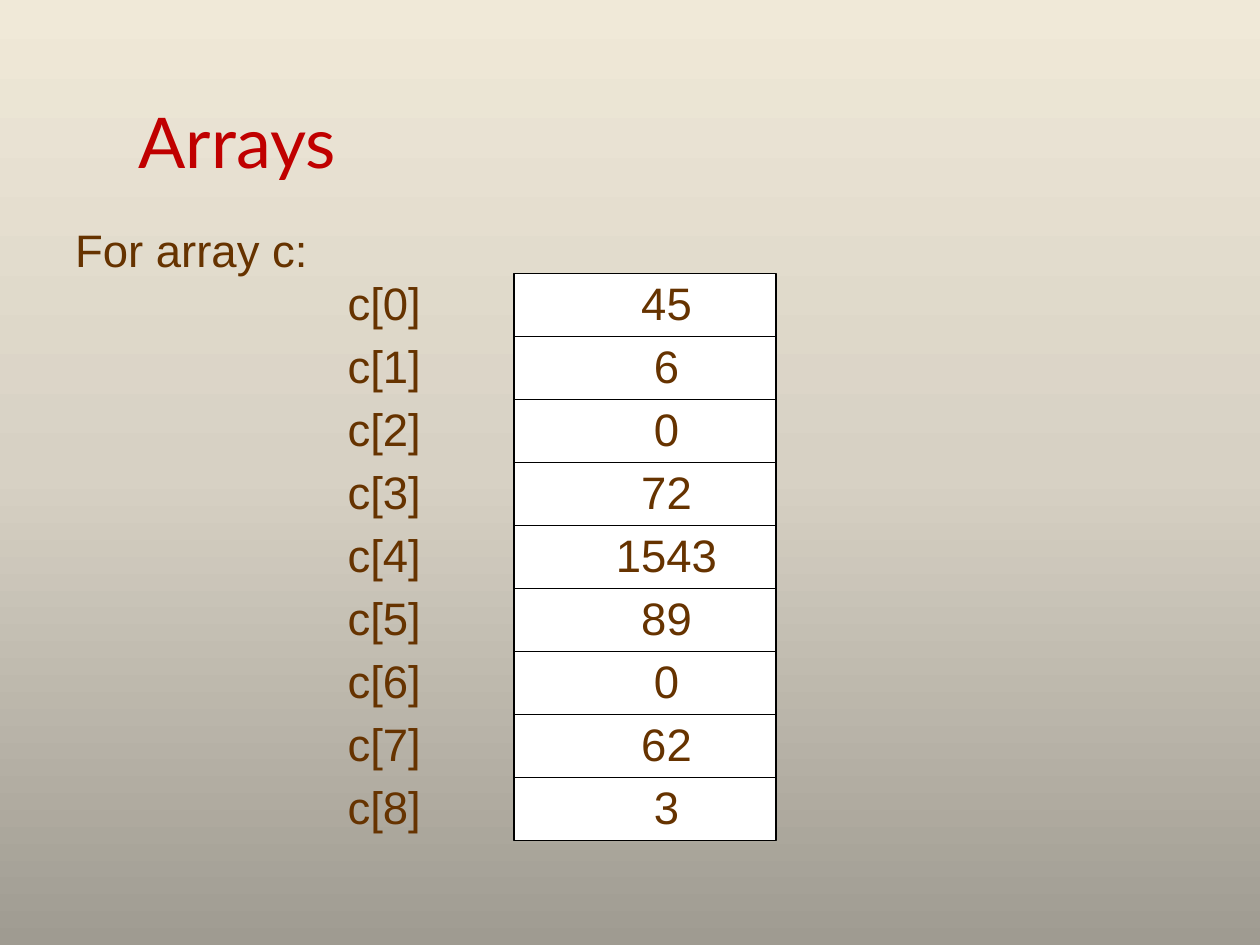
from copy import deepcopy

from pptx import Presentation
from pptx.dml.color import RGBColor
from pptx.enum.shapes import MSO_CONNECTOR as CONNECTOR, MSO_SHAPE as SHAPE
from pptx.enum.text import MSO_ANCHOR as ANCHOR, MSO_AUTO_SIZE as AUTOSIZE, PP_ALIGN as ALIGN
from pptx.oxml.ns import qn
from pptx.util import Inches, Pt

VALUES = [45, 6, 0, 72, 1543, 89, 0, 62, 3]
BROWN, RED, BLACK, WHITE = "663300", "C00000", "000000", "FFFFFF"
LABEL_HEIGHT = 0.54
DIGIT_WIDTH = 0.21


def color(hex_text):
    return RGBColor.from_string(hex_text)


def write(frame, text, size=26, font="Arial", ink=BROWN, align=ALIGN.CENTER):
    paragraph = frame.paragraphs[0]
    paragraph.alignment = align
    run = paragraph.add_run()
    run.text = text
    run.font.size = Pt(size)
    run.font.name = font
    run.font.color.rgb = color(ink)


def add_label(slide, text, center, top, width):
    """Place a one-line label around a horizontal centre."""
    label = slide.shapes.add_textbox(Inches(center - width / 2), Inches(top),
                                     Inches(width), Inches(LABEL_HEIGHT))
    label.text_frame.word_wrap = False
    label.text_frame.auto_size = AUTOSIZE.SHAPE_TO_FIT_TEXT
    write(label.text_frame, text)


def paint_background(slide):
    fill = slide.background.fill
    fill.gradient()
    fill.gradient_angle = 90
    stop_list = slide.element.find(".//" + qn("a:gsLst"))
    stop_list.insert(1, deepcopy(stop_list[0]))
    for stop, position, shade in zip(fill.gradient_stops, (0, 0.5, 1),
                                     ("9F9B91", "D7D1C4", "F0E9D8")):
        stop.position = position
        stop.color.rgb = color(shade)


def add_title(slide, text, left, top, width, height):
    title = slide.shapes.title
    title.left, title.top = Inches(left), Inches(top)
    title.width, title.height = Inches(width), Inches(height)
    frame = title.text_frame
    frame.vertical_anchor = ANCHOR.BOTTOM
    frame.margin_bottom = Inches(0.1)
    write(frame, text, size=40, font="Lato", ink=RED, align=ALIGN.LEFT)


def add_array(slide, values, left, top, width, height):
    """Draw the array as a column of cells, with its indices to the left."""
    # Outer frame
    column = slide.shapes.add_shape(SHAPE.RECTANGLE, Inches(left), Inches(top),
                                    Inches(width), Inches(height))
    column.shadow.inherit = False
    column.fill.solid()
    column.fill.fore_color.rgb = color(WHITE)
    column.line.color.rgb = color(BLACK)
    column.line.width = Pt(0.75)

    row_height = height / len(values)
    for index, value in enumerate(values):
        row_top = top + index * row_height
        # Divider above every cell but the first
        if index:
            divider = slide.shapes.add_connector(
                CONNECTOR.STRAIGHT, Inches(left), Inches(row_top),
                Inches(left + width), Inches(row_top))
            divider.line.color.rgb = color(BLACK)
            divider.line.width = Pt(0.75)
            properties = divider.element.spPr
            properties.append(properties.makeelement(qn("a:effectLst"), {}))
        # Index and value
        label_top = row_top + row_height - LABEL_HEIGHT
        add_label(slide, f"c[{index}]", left - 1.03, label_top, 0.8)
        digits = str(value)
        add_label(slide, digits, left + 1.21, label_top,
                  0.2 + DIGIT_WIDTH * len(digits))


def main():
    deck = Presentation()
    deck.slide_width, deck.slide_height = Inches(10), Inches(7.5)
    slide = deck.slides.add_slide(deck.slide_layouts[5])
    paint_background(slide)
    add_title(slide, "Arrays", 1, 0.3, 8.5, 1.25)
    add_array(slide, VALUES, 4.08, 2.17, 2.08, 4.5)
    add_label(slide, "For array c:", 1.52, 1.71, 2.07)
    deck.save("out.pptx")


if __name__ == "__main__":
    main()
